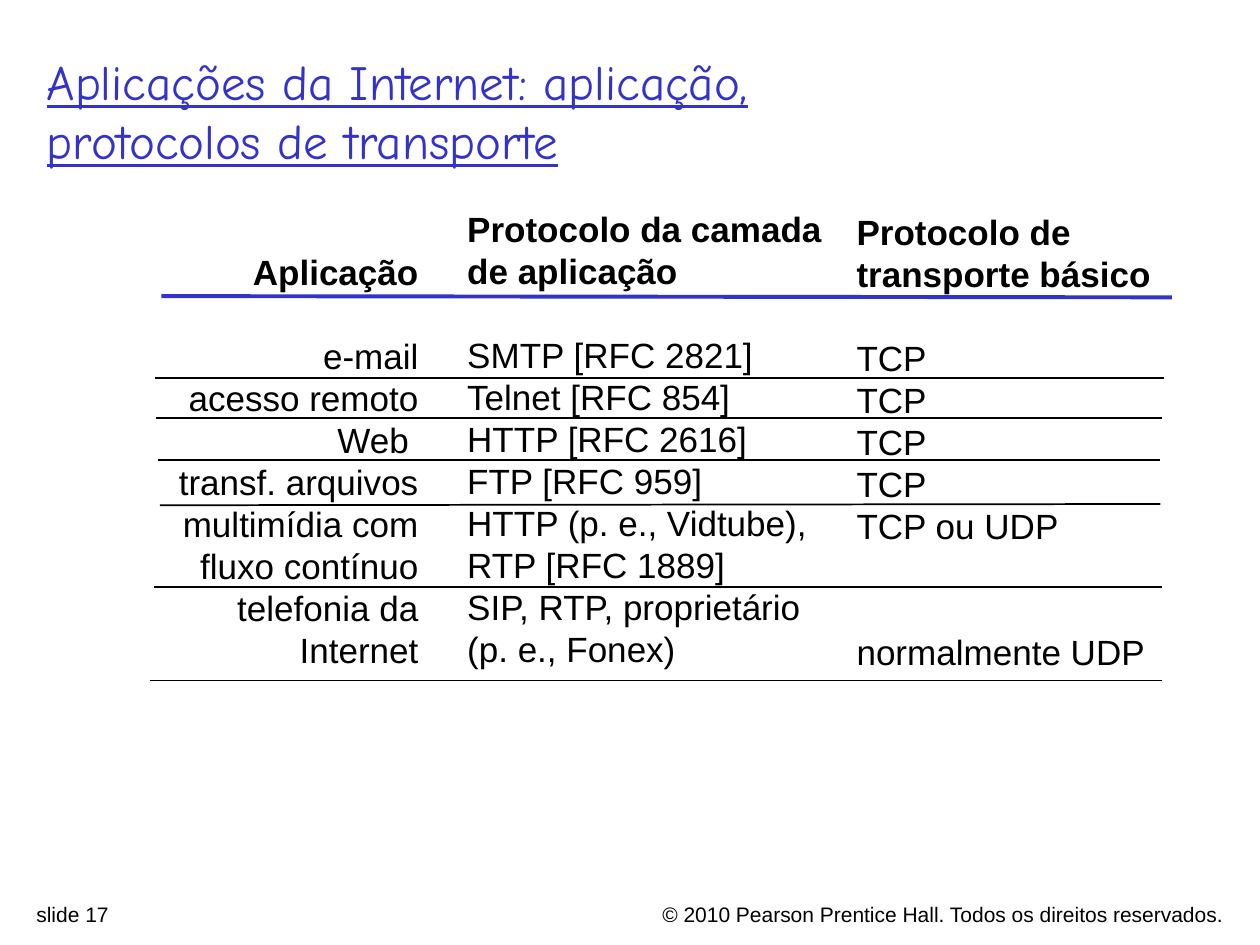
from pptx import Presentation
from pptx.dml.color import RGBColor
from pptx.enum.shapes import MSO_CONNECTOR
from pptx.enum.text import MSO_ANCHOR, PP_ALIGN
from pptx.oxml.ns import qn
from pptx.util import Inches, Pt

LEFT, RIGHT = PP_ALIGN.LEFT, PP_ALIGN.RIGHT
MIDDLE = MSO_ANCHOR.MIDDLE
STRAIGHT = MSO_CONNECTOR.STRAIGHT
COLORS = {"ink": "000000", "blue": "3333CC"}
STEP = 24

HEAD = {"name": "Comic Neue", "size": Pt(28), "underline": True, "bold": False}
BODY = {"name": "Arial", "size": Pt(20), "bold": False}
BOLD = {**BODY, "bold": True}
FOOT = {**BODY, "size": Pt(12)}

COLUMNS = [
    ((1.3, 1.94, 2.12, 3.44), RIGHT, [
        "Aplicação", "e-mail", "acesso remoto", "Web ", "transf. arquivos",
        "multimídia com\vfluxo contínuo", "telefonia da\vInternet"], {1: 1}),
    ((3.61, 1.6, 3.07, 3.77), LEFT, [
        "Protocolo da camada\vde aplicação", "SMTP [RFC 2821]",
        "Telnet [RFC 854]", "HTTP [RFC 2616]", "FTP [RFC 959]",
        "HTTP (p. e., Vidtube), \vRTP [RFC 1889]", "SIP, RTP, proprietário",
        "(p. e., Fonex)"], {1: 1}),
    ((6.7, 1.62, 2.87, 3.77), LEFT, [
        "Protocolo de transporte básico", "TCP", "TCP", "TCP", "TCP",
        "TCP ou UDP", "normalmente UDP"], {1: 1, 6: 2}),
]
FOOTERS = [
    ((4.7, 7.11, 5.11, 0.24), RIGHT,
     "© 2010 Pearson Prentice Hall. Todos os direitos reservados."),
    ((0.19, 7.11, 3.52, 0.23), LEFT, "slide 17"),
]
RULES = [
    (1.23, 3, 9.24, 3), (1.24, 3.32, 9.22, 3.32), (1.25, 3.65, 9.21, 3.65),
    (1.27, 4.01, 9.21, 4), (1.22, 4.66, 9.22, 4.66), (1.19, 5.4, 9.22, 5.4),
]


def color(key):
    return RGBColor.from_string(COLORS[key])


def style(para, font, key="ink", align=LEFT):
    para.alignment = align
    for name, value in font.items():
        setattr(para.font, name, value)
    para.font.color.rgb = color(key)


def add_title(slide, text):
    title = slide.shapes.title
    place = {"left": 0.27, "top": 0.25, "width": 9.57, "height": 1.25}
    for name, value in place.items():
        setattr(title, name, Inches(value))
    frame = title.text_frame
    frame.text = text
    frame.vertical_anchor = MIDDLE
    para = frame.paragraphs[0]
    para.line_spacing = Pt(33.6)
    style(para, HEAD, "blue")


def add_box(slide, area, text):
    box = slide.shapes.add_textbox(*map(Inches, area))
    frame = box.text_frame
    frame.word_wrap = True
    frame.text = text
    return frame.paragraphs


def add_column(slide, area, align, lines, gaps):
    for i, para in enumerate(add_box(slide, area, "\n".join(lines))):
        style(para, BODY if i else BOLD, align=align)
        para.line_spacing = Pt(STEP)
        para.space_before = Pt(STEP * gaps.get(i, 0))


def add_rule(slide, ends, key="ink", width=1):
    rule = slide.shapes.add_connector(STRAIGHT, *map(Inches, ends))
    rule.line.color.rgb = color(key)
    rule.line.width = Pt(width)
    props = rule._element.spPr
    props.append(props.makeelement(qn("a:effectLst"), {}))


def main():
    deck = Presentation()
    deck.slide_width, deck.slide_height = Inches(10), Inches(7.5)
    slide = deck.slides.add_slide(deck.slide_layouts[5])
    for area, align, text in FOOTERS:
        style(add_box(slide, area, text)[0], FOOT, align=align)
    add_title(slide, "Aplicações da Internet: aplicação,\vprotocolos de transporte")
    for column in COLUMNS:
        add_column(slide, *column)
    add_rule(slide, (1.28, 2.35, 9.3, 2.36), "blue", 2.25)
    for ends in RULES:
        add_rule(slide, ends)
    deck.save("out.pptx")


if __name__ == "__main__":
    main()
